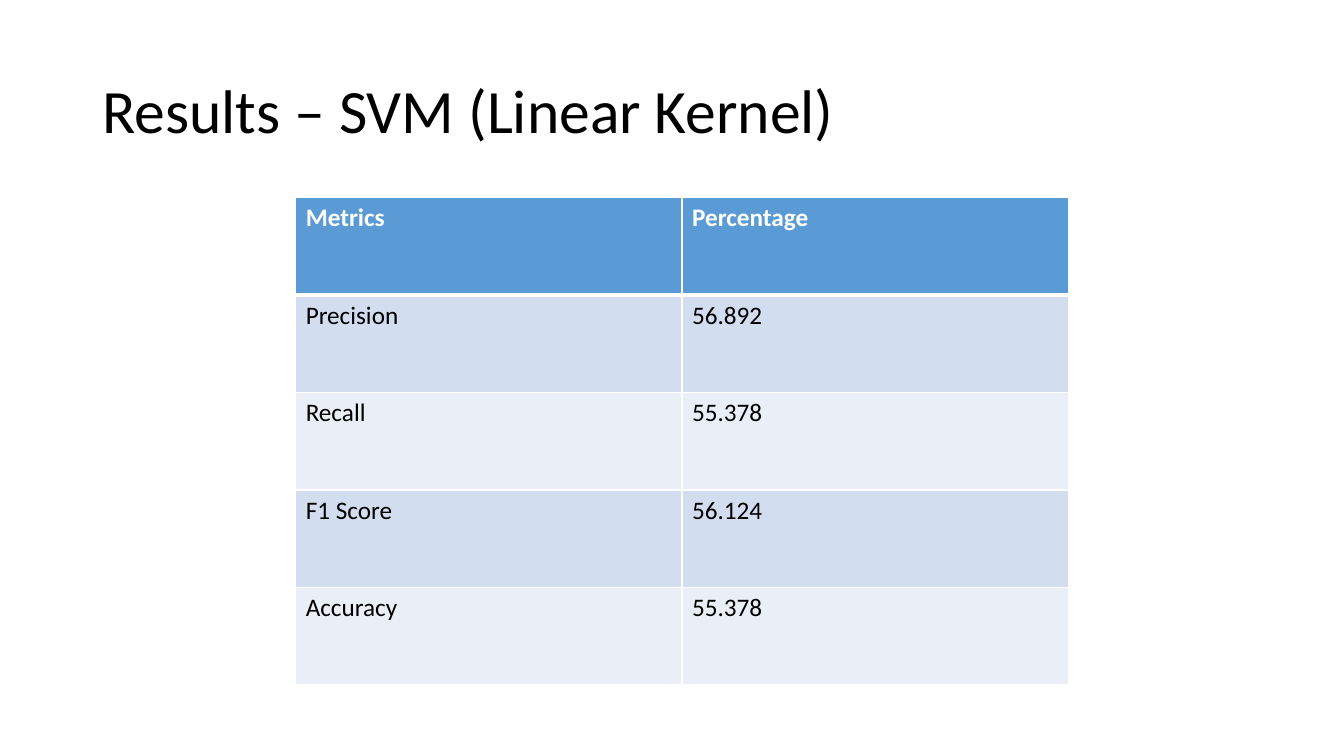
from lxml import etree
from pptx import Presentation
from pptx.dml.color import RGBColor
from pptx.enum import text
from pptx.oxml import ns
from pptx.util import Pt

WHITE = RGBColor(0xFF, 0xFF, 0xFF)
BLACK = RGBColor(0x00, 0x00, 0x00)
HEADER_BLUE = RGBColor(0x5B, 0x9B, 0xD5)
BAND_DARK = RGBColor(0xD2, 0xDE, 0xEF)
BAND_LIGHT = RGBColor(0xEA, 0xEF, 0xF7)


def add_run(paragraph, words, size, color, bold=False):
    run = paragraph.add_run()
    run.text = words
    run.font.name = "Calibri"
    run.font.size = Pt(size)
    run.font.color.rgb = color
    run.font.bold = bold


def add_border(cell, side, width):
    line = etree.SubElement(cell._tc.get_or_add_tcPr(), ns.qn("a:ln" + side), w=str(Pt(width)))
    fill = etree.SubElement(line, ns.qn("a:solidFill"))
    etree.SubElement(fill, ns.qn("a:srgbClr"), val=str(WHITE))


deck = Presentation()
deck.slide_width, deck.slide_height = Pt(960), Pt(540)
slide = deck.slides.add_slide(deck.slide_layouts[6])

# Title
title = slide.shapes.add_textbox(Pt(66), Pt(28.75), Pt(828), Pt(104.4)).text_frame
title.word_wrap = True
title.vertical_anchor = text.MSO_ANCHOR.MIDDLE
title.paragraphs[0].line_spacing = 0.9
add_run(title.paragraphs[0], "Results – SVM (Linear Kernel)", 44, BLACK)

# Metrics table
scores = [
    ("Metrics", "Percentage"),
    ("Precision", "56.892"),
    ("Recall", "55.378"),
    ("F1 Score", "56.124"),
    ("Accuracy", "55.378"),
]
metrics = slide.shapes.add_table(
    len(scores), 2, Pt(211.2), Pt(141.2), Pt(552), Pt(69.6 * len(scores))
).table

for row, score in enumerate(scores):
    header = row == 0
    band = HEADER_BLUE if header else BAND_DARK if row % 2 else BAND_LIGHT
    for column, words in enumerate(score):
        cell = metrics.cell(row, column)
        # Borders go before the fill; the rule under the header is heavier
        for side in "LRTB":
            under_header = (row, side) in [(0, "B"), (1, "T")]
            add_border(cell, side, 3 if under_header else 1)
        cell.fill.solid()
        cell.fill.fore_color.rgb = band
        add_run(cell.text_frame.paragraphs[0], words, 18, WHITE if header else BLACK, header)

deck.save("out.pptx")
